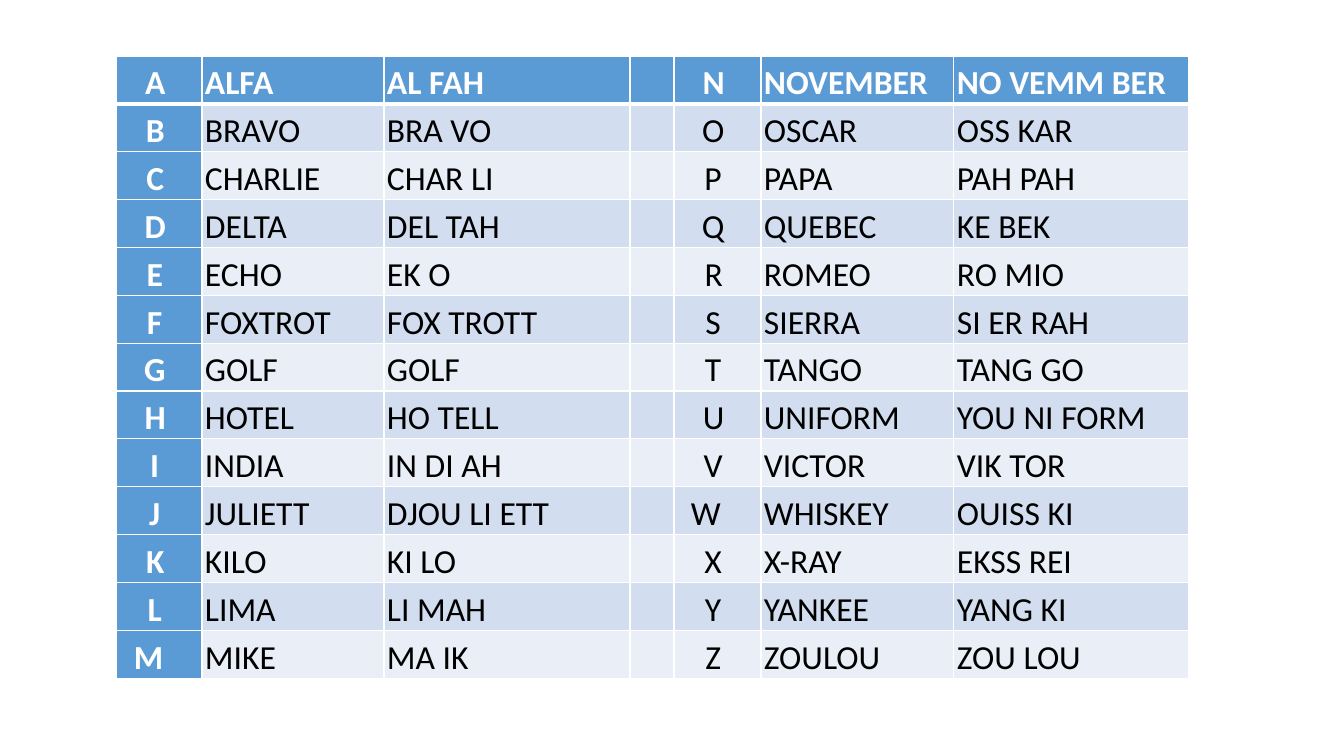
"""Build a slide with the spelling alphabet as a two-part table."""
from lxml import etree
from pptx import Presentation, util as u
from pptx.dml.color import RGBColor
from pptx.enum import text as t
from pptx.oxml import ns

ROWS = [
    ("A", "ALFA", "AL FAH", "N", "NOVEMBER", "NO VEMM BER"),
    ("B", "BRAVO", "BRA VO", "O", "OSCAR", "OSS KAR"),
    ("C", "CHARLIE", "CHAR LI", "P", "PAPA", "PAH PAH"),
    ("D", "DELTA", "DEL TAH", "Q", "QUEBEC", "KE BEK"),
    ("E", "ECHO", "EK O", "R", "ROMEO", "RO MIO"),
    ("F", "FOXTROT", "FOX TROTT", "S", "SIERRA", "SI ER RAH"),
    ("G", "GOLF", "GOLF", "T", "TANGO", "TANG GO"),
    ("H", "HOTEL", "HO TELL", "U", "UNIFORM", "YOU NI FORM"),
    ("I", "INDIA", "IN DI AH", "V", "VICTOR", "VIK TOR"),
    ("J", "JULIETT", "DJOU LI ETT", "W", "WHISKEY", "OUISS KI"),
    ("K", "KILO", "KI LO", "X", "X-RAY", "EKSS REI"),
    ("L", "LIMA", "LI MAH", "Y", "YANKEE", "YANG KI"),
    ("M", "MIKE", "MA IK", "Z", "ZOULOU", "ZOU LOU"),
]
COLS = [86, 182, 246, 44, 87, 193, 235]
LEFT, TOP, HIGH = 116, 56, 619
INSET = {"left": 3, "top": 4, "right": 10, "bottom": 0}
WIDE = "ABCDHKNRU"
FLUSH = {"M": 15, "W": 14}
HUES = {"head": "5B9BD5", "odd": "D2DEEF", "even": "EAEFF7",
        "line": "FFFFFF", "light": "FFFFFF", "dark": "000000"}


def px(n):
    return u.Emu(round(n * 914400 / 100.8))


def hue(name):
    return RGBColor.from_string(HUES[name])


def edge(cell, side, width):
    props = cell._tc.get_or_add_tcPr()
    line = etree.SubElement(props, ns.qn("a:ln" + side), w=str(u.Pt(width)))
    fill = etree.SubElement(line, ns.qn("a:solidFill"))
    etree.SubElement(fill, ns.qn("a:srgbClr"), val=HUES["line"])


def write(cell, text, color="dark", bold=False, align=t.PP_ALIGN.LEFT, indent=0):
    para = cell.text_frame.paragraphs[0]
    para.alignment = align
    para.line_spacing = 1.07
    if indent:
        props = para._p.get_or_add_pPr()
        props.set("marL", str(px(indent)))
        props.set("indent", "0")
    run = para.add_run()
    run.text = text
    run.font.name = "Calibri"
    run.font.size = u.Pt(24)
    run.font.bold = bold
    run.font.color.rgb = hue(color)


def paint(cell, row, col):
    for side in "LRTB":
        thick = (row, side) in ((0, "B"), (1, "T"))
        edge(cell, side, 3 if thick else 1)
    head = row == 0 or col == 0
    cell.fill.solid()
    cell.fill.fore_color.rgb = hue("head" if head else "odd" if row % 2 else "even")
    for side, size in INSET.items():
        setattr(cell, "margin_" + side, px(size))
    return {"color": "light", "bold": True} if head else {}


def main():
    deck = Presentation()
    deck.slide_width, deck.slide_height = px(1344), px(756)
    slide = deck.slides.add_slide(deck.slide_layouts[6])
    table = slide.shapes.add_table(len(ROWS), len(COLS), px(LEFT), px(TOP),
                                   px(sum(COLS)), px(HIGH)).table
    table.first_col = True
    for col, width in zip(table.columns, COLS):
        col.width = px(width)
    for r, words in enumerate(ROWS):
        for c, word in enumerate(words[:3] + ("",) + words[3:]):
            cell = table.cell(r, c)
            style = paint(cell, r, c)
            if word in FLUSH:
                write(cell, word, indent=FLUSH[word], **style)
            elif c in (0, 4):
                write(cell, word + " ", align=t.PP_ALIGN.CENTER,
                      indent=7 if word in WIDE else 6, **style)
            elif word:
                write(cell, word, **style)
    deck.save("out.pptx")


if __name__ == "__main__":
    main()
